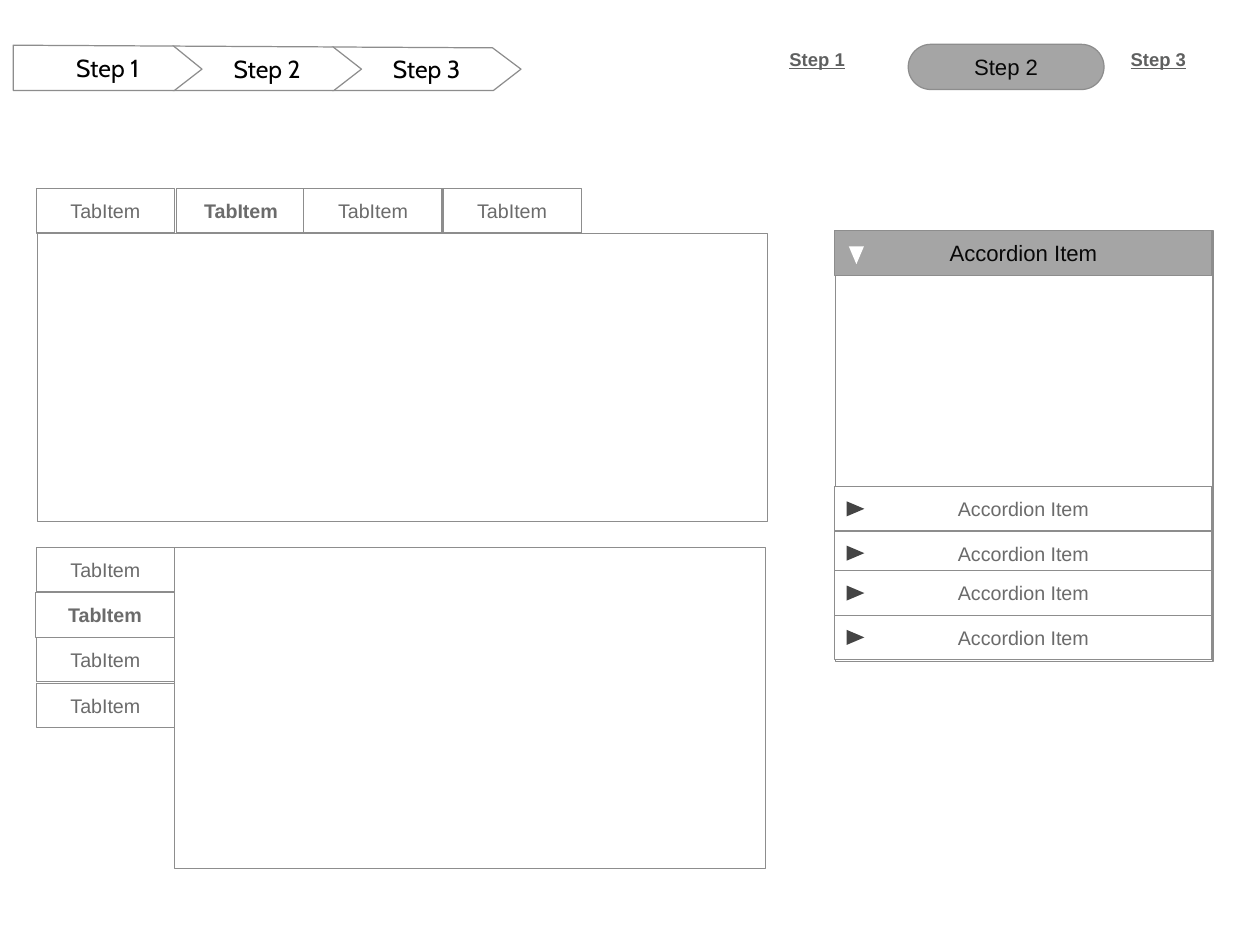
import pptx
import pptx.util
import pptx.dml.color
import pptx.enum.shapes
import pptx.enum.text

Inches = pptx.util.Inches
Pt = pptx.util.Pt
SHAPE = pptx.enum.shapes.MSO_SHAPE
ALIGN = pptx.enum.text.PP_ALIGN
ANCHOR = pptx.enum.text.MSO_ANCHOR


def rgb(value):
    return pptx.dml.color.RGBColor.from_string(value)


class Wireframe:
    font = "Arial"
    white = "FFFFFF"
    border = "8D8D8D"
    active = "A5A5A5"
    active_text = "080808"
    label_text = "6B6B6B"
    link_text = "5F6060"
    marker = "444444"

    def __init__(self, slide):
        self.slide = slide

    def paint(self, sp, fill, line=None):
        sp.shadow.inherit = False
        sp.fill.solid()
        sp.fill.fore_color.rgb = rgb(fill)
        if line:
            sp.line.color.rgb = rgb(line)
            sp.line.width = Pt(1)
        else:
            sp.line.fill.background()

    def label(self, sp, text, size, color, font=None, bold=False,
              underline=False, align=ALIGN.CENTER, anchor=ANCHOR.MIDDLE):
        tf = sp.text_frame
        tf.text = text
        tf.word_wrap = True
        tf.vertical_anchor = anchor
        tf.margin_left = tf.margin_right = tf.margin_top = tf.margin_bottom = 0
        p = tf.paragraphs[0]
        p.alignment = align
        r = p.runs[0]
        r.font.name = font or self.font
        r.font.size = Pt(size)
        r.font.bold = bold
        r.font.underline = underline
        r.font.color.rgb = rgb(color)

    def box(self, x, y, w, h, fill=white, kind=SHAPE.RECTANGLE):
        sp = self.slide.shapes.add_shape(
            kind, Inches(x), Inches(y), Inches(w), Inches(h))
        self.paint(sp, fill, self.border)
        return sp

    def tab(self, x, y, w=1.56, h=0.5, bold=False):
        self.label(self.box(x, y, w, h), "TabItem", 16, self.label_text, bold=bold)

    def triangle(self, x, y, rotation, fill):
        sp = self.slide.shapes.add_shape(
            SHAPE.ISOSCELES_TRIANGLE, Inches(x), Inches(y), Inches(0.17), Inches(0.2))
        sp.rotation = rotation
        self.paint(sp, fill)

    def chevron(self, x, y, bottom, text):
        points = [(x, bottom), (x + 1.82, bottom), (x + 2.13, 0.78),
                  (x + 1.81, y + 0.01)]
        builder = self.slide.shapes.build_freeform(Inches(x), Inches(y))
        builder.add_line_segments([(Inches(px), Inches(py)) for px, py in points])
        sp = builder.convert_to_shape()
        self.paint(sp, self.white, self.border)
        self.label(sp, text, 20, "000000", font="Cabin")

    def link(self, x, y, text):
        sp = self.slide.shapes.add_textbox(
            Inches(x), Inches(y), Inches(1.3), Inches(0.36))
        self.label(sp, text, 15, self.link_text, bold=True, underline=True,
                   align=ALIGN.LEFT, anchor=ANCHOR.TOP)
        sp.text_frame.margin_left = Inches(0.04)

    def accordion_row(self, x, y):
        sp = self.box(x, y, 4.26, 0.5)
        self.label(sp, "Accordion Item", 16, self.label_text)
        self.triangle(x + 0.15, y + 0.15, 90, self.marker)


def main():
    prs = pptx.Presentation()
    prs.slide_width = Inches(14.22)
    prs.slide_height = Inches(10.66)
    s = prs.slides.add_slide(prs.slide_layouts[6])
    w = Wireframe(s)

    # Horizontal tabs
    w.box(0.42, 2.63, 8.24, 3.25)
    w.tab(1.99, 2.13, w=1.46, bold=True)
    for x in (0.41, 3.43, 5):
        w.tab(x, 2.13)

    # Chevron steps, the first one on top
    for i in reversed(range(3)):
        w.chevron(0.15 + 1.8 * i, 0.51 + 0.01 * i, 1.02, f"Step {i + 1}")

    # Step links with the current step as a pill
    pill = w.box(10.25, 0.5, 2.21, 0.51, w.active, SHAPE.ROUNDED_RECTANGLE)
    pill.adjustments[0] = 0.5
    w.label(pill, "Step 2", 18, w.active_text)
    w.link(8.87, 0.54, "Step 1")
    w.link(12.72, 0.54, "Step 3")

    # Accordion
    w.box(9.43, 2.6, 4.26, 4.86)
    header = w.box(9.42, 2.6, 4.26, 0.51, w.active)
    w.label(header, "Accordion Item", 18, w.active_text)
    w.triangle(9.58, 2.78, 180, w.white)
    for y in (5.49, 5.99, 6.44, 6.94):
        w.accordion_row(9.42, y)

    # Vertical tabs
    w.box(1.97, 6.18, 6.67, 3.62)
    for y in (6.18, 7.19, 7.71):
        w.tab(0.41, y)
    w.tab(0.4, 6.68, w=1.57, h=0.51, bold=True)

    prs.save("out.pptx")


if __name__ == "__main__":
    main()
